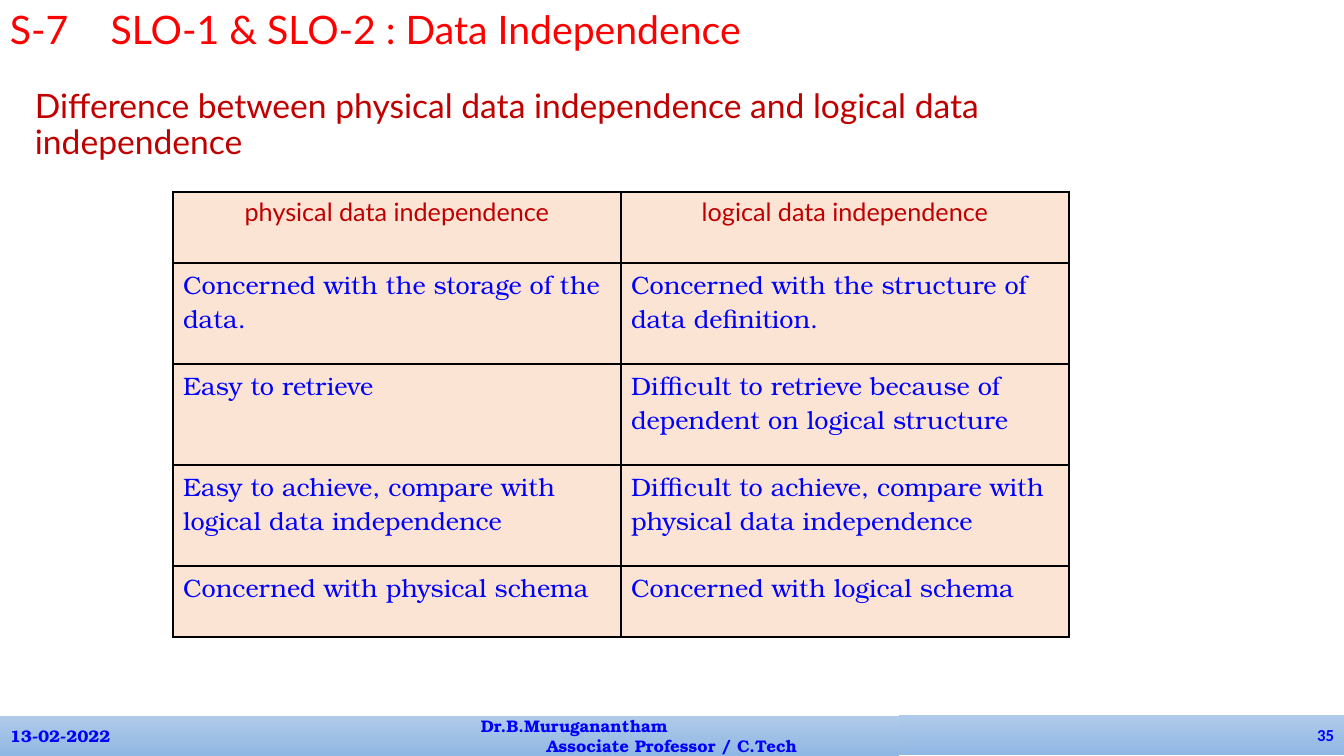
from lxml.etree import SubElement
from pptx import Presentation
from pptx.dml.color import RGBColor
from pptx.enum.shapes import MSO_SHAPE as Shape
from pptx.enum.text import MSO_ANCHOR as Anchor, PP_ALIGN as Align
from pptx.oxml.ns import qn
from pptx.util import Pt

PX = 914400 / 100.8
RED = RGBColor(0xFF, 0x00, 0x00)
DARK_RED = RGBColor(0xC0, 0x00, 0x00)
BLUE = RGBColor(0x00, 0x00, 0xFF)
PEACH = RGBColor(0xFB, 0xE4, 0xD4)
BAR_TOP = RGBColor(0xB0, 0xCA, 0xE9)
BAR_BOTTOM = RGBColor(0x90, 0xB8, 0xE4)
SANS, SERIF, NUMBER_FONT = "Lato", "TeX Gyre Bonum", "Calibri"

ROW_HEIGHTS = [71, 101, 101, 101, 71]
COMPARISON = [
    ("physical data independence", "logical data independence"),
    ("Concerned with the storage of the data.",
     "Concerned with the structure of data definition."),
    ("Easy to retrieve",
     "Difficult to retrieve because of dependent on logical structure"),
    ("Easy to achieve, compare with logical data independence",
     "Difficult to achieve, compare with physical data independence"),
    ("Concerned with physical schema", "Concerned with logical schema"),
]


def px(*lengths):
    """Turn pixel lengths into a list of EMU."""
    return [round(length * PX) for length in lengths]


def write(paragraph, text, size=18, font=SANS, color=BLUE, bold=False,
          align=Align.LEFT, indent=0, spacing=None):
    """Put formatted text into a paragraph."""
    run = paragraph.add_run()
    run.text = text
    run.font.size, run.font.name, run.font.bold = Pt(size), font, bold
    run.font.color.rgb = color
    paragraph.alignment = align
    if spacing:
        paragraph.line_spacing = spacing
    if indent:
        paragraph._p.get_or_add_pPr().set("marL", str(px(indent)[0]))


class SlideBuilder:
    """Holds the slide and the shared look of its elements."""

    def __init__(self, slide):
        """Keep the slide to draw on."""
        self.slide = slide

    def text_box(self, box, text, **style):
        """Add a wrapping text box."""
        frame = self.slide.shapes.add_textbox(*px(*box)).text_frame
        frame.word_wrap = True
        write(frame.paragraphs[0], text, **style)

    def footer_bar(self, box, *lines):
        """Add a gradient footer section with one paragraph per line."""
        shape = self.slide.shapes.add_shape(Shape.RECTANGLE, *px(*box))
        shape.shadow.inherit = False
        shape.line.fill.background()
        shape.fill.gradient()
        shape.fill.gradient_angle = 270
        for stop, color in zip(shape.fill.gradient_stops, (BAR_TOP, BAR_BOTTOM)):
            stop.color.rgb = color
        frame = shape.text_frame
        frame.word_wrap = True
        frame.vertical_anchor = Anchor.MIDDLE
        for index, (text, style) in enumerate(lines):
            paragraph = frame.add_paragraph() if index else frame.paragraphs[0]
            write(paragraph, text, **{"size": 12, "font": SERIF, "bold": True, **style})

    def border(self, cell):
        """Draw thin black lines around a cell."""
        properties = cell._tc.get_or_add_tcPr()
        for side in ("lnL", "lnR", "lnT", "lnB"):
            line = SubElement(properties, qn(f"a:{side}"), w=str(Pt(1)))
            fill = SubElement(line, qn("a:solidFill"))
            SubElement(fill, qn("a:srgbClr"), val="000000")

    def table(self, box, rows, heights):
        """Add the comparison table with a centred heading row."""
        table = self.slide.shapes.add_table(len(rows), len(rows[0]), *px(*box)).table
        for row, height in zip(table.rows, px(*heights)):
            row.height = height
        heading = {"color": DARK_RED, "align": Align.CENTER}
        for row_index, texts in enumerate(rows):
            style = {"font": SERIF} if row_index else heading
            for column_index, text in enumerate(texts):
                cell = table.cell(row_index, column_index)
                self.border(cell)
                cell.fill.solid()
                cell.fill.fore_color.rgb = PEACH
                write(cell.text_frame.paragraphs[0], text, **style)


def main():
    """Build and save the slide."""
    presentation = Presentation()
    presentation.slide_width, presentation.slide_height = px(1344, 756)
    builder = SlideBuilder(presentation.slides.add_slide(presentation.slide_layouts[6]))
    builder.text_box((0, 84, 1159, 88),
                     "Difference between physical data independence and logical data independence",
                     size=24, color=DARK_RED, indent=25, spacing=0.9)
    builder.footer_bar((0, 716, 445, 40), ("13-02-2022", {}))
    builder.footer_bar((445, 716, 454, 40),
                       ("Dr.B.Muruganantham", {"indent": 26}),
                       ("Associate Professor / C.Tech", {"align": Align.CENTER}))
    builder.footer_bar((899, 715, 445, 40),
                       ("35", {"font": NUMBER_FONT, "align": Align.RIGHT}))
    builder.text_box((0, 0, 1210, 57), "S-7\tSLO-1 & SLO-2 : Data Independence",
                     size=28, color=RED)
    builder.table((173, 192, 896, sum(ROW_HEIGHTS)), COMPARISON, ROW_HEIGHTS)
    presentation.save("out.pptx")


if __name__ == "__main__":
    main()
